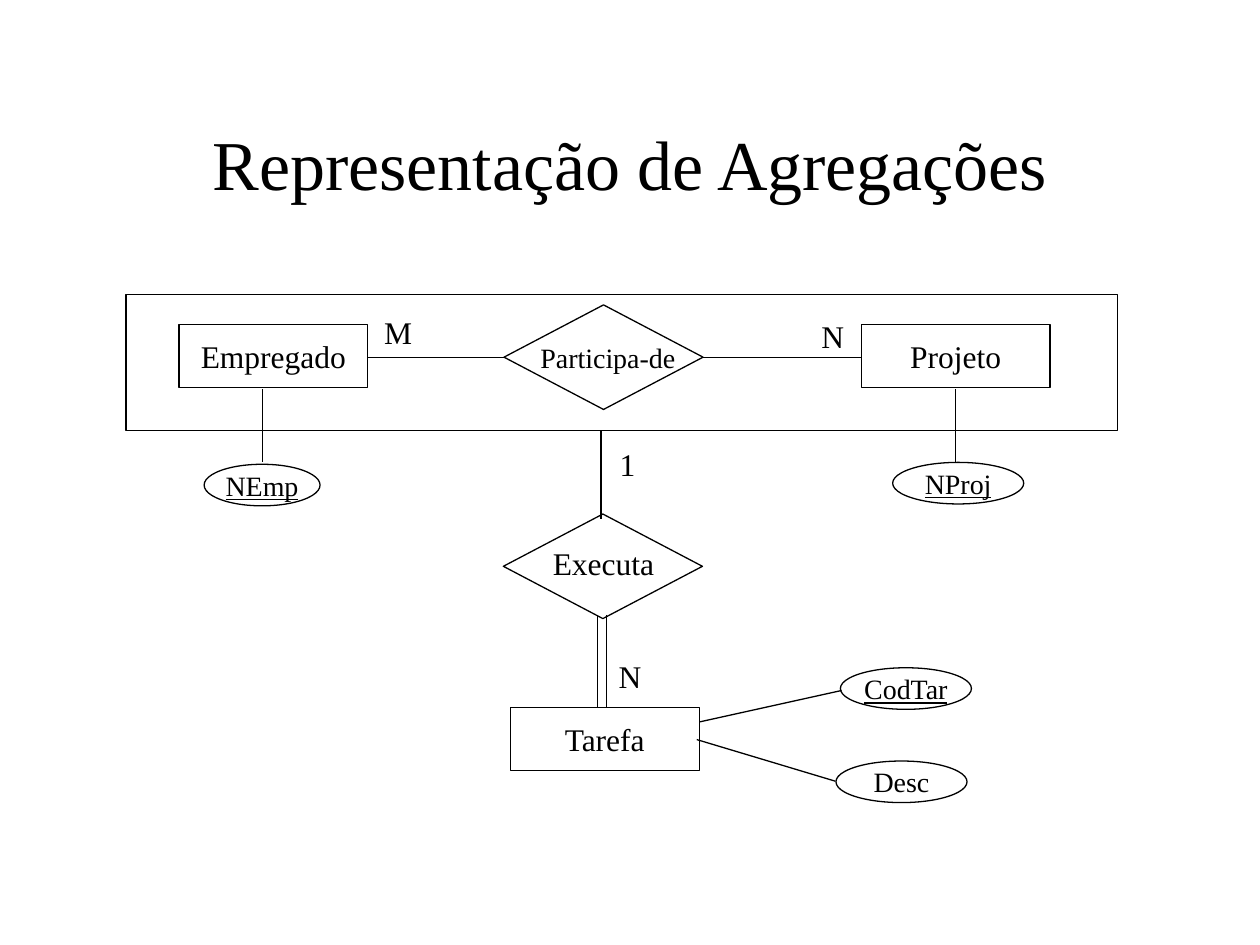
from lxml import etree
from pptx import Presentation
from pptx.dml.color import RGBColor
from pptx.enum.shapes import MSO_CONNECTOR, MSO_SHAPE as SHAPE
from pptx.enum.text import MSO_ANCHOR, MSO_AUTO_SIZE, PP_ALIGN
from pptx.oxml.ns import qn
from pptx.util import Inches, Pt

# The slide is a grid of 100 columns by 75 rows; all places are (column, row).
COLS, ROWS = 100, 75
FONT, BLACK, WHITE = "Times New Roman", "000000", "FFFFFF"
TITLE = "Representação de Agregações"
TITLE_BOX = (50, 12.9, 85, 12.5)

# Kind: preset shape, width, height, text size
KINDS = {
    "aggregation": (SHAPE.RECTANGLE, 78.7, 10.8, 18),
    "relationship": (SHAPE.FLOWCHART_DECISION, 15.8, 8.3, 18),
    "entity": (SHAPE.RECTANGLE, 15, 5, 18),
    "attribute": (SHAPE.OVAL, 10.4, 3.3, 16),
    "short attribute": (SHAPE.OVAL, 9.2, 3.3, 16),
}
# Kind, centre, text, underlined as key
NODES = [
    ("aggregation", (49.35, 28.75), "", False),
    ("relationship", (47.9, 28.35), "", False),
    ("relationship", (47.85, 44.95), "", False),
    ("entity", (21.7, 28.25), "Empregado", False),
    ("entity", (75.85, 28.25), "Projeto", False),
    ("entity", (48, 58.65), "Tarefa", False),
    ("short attribute", (20.8, 38.5), "NEmp", True),
    ("attribute", (76.05, 38.35), "NProj", True),
    ("attribute", (71.9, 54.65), "CodTar", True),
    ("attribute", (71.55, 62.05), "Desc", False),
]
LINKS = [
    ((29.2, 28.4), (40, 28.4)),
    ((55.8, 28.4), (68.3, 28.4)),
    ((20.85, 30.9), (20.85, 36.7)),
    ((75.85, 30.9), (75.85, 36.7)),
    ((47.7, 34.2), (47.7, 41.2)),
    ((47.4, 48.8), (47.4, 56.1)),
    ((48.15, 48.8), (48.15, 56.1)),
    ((55.5, 57.3), (66.8, 54.8)),
    ((55.3, 58.7), (66.3, 62)),
]
# Text, centre, width, size
LABELS = [
    ("Participa-de", (48.25, 28.35), 13, 16),
    ("Executa", (47.9, 44.65), 11, 18),
    ("M", (31.6, 26.35), 4.4, 18),
    ("N", (66.1, 26.7), 4, 18),
    ("1", (49.8, 36.8), 3.4, 18),
    ("N", (50, 53.65), 4, 18),
]
LABEL_HEIGHT = 4

prs = Presentation()
prs.slide_width, prs.slide_height = Inches(10), Inches(7.5)
s = prs.slides.add_slide(prs.slide_layouts[5])


def rgb(color):
    return RGBColor.from_string(color)


def x(col):
    return round(prs.slide_width * col / COLS)


def y(row):
    return round(prs.slide_height * row / ROWS)


def box(cx, cy, w, h):
    """Left, top, width and height of a box centred on a grid point."""
    return x(cx - w / 2), y(cy - h / 2), x(w), y(h)


def write(sp, text, size, wrap=False, **extra):
    tf = sp.text_frame
    tf.text = text
    tf.word_wrap = wrap
    tf.vertical_anchor = MSO_ANCHOR.MIDDLE
    p = tf.paragraphs[0]
    p.alignment = PP_ALIGN.CENTER
    for name, value in {"name": FONT, "size": Pt(size), **extra}.items():
        setattr(p.font, name, value)
    p.font.color.rgb = rgb(BLACK)


def outline(sp):
    sp.line.color.rgb = rgb(BLACK)
    sp.line.width = Pt(0.75)


def add_node(kind, center, text, is_key):
    preset, w, h, size = KINDS[kind]
    sp = s.shapes.add_shape(preset, *box(*center, w, h))
    sp.shadow.inherit = False
    sp.fill.solid()
    sp.fill.fore_color.rgb = rgb(WHITE)
    outline(sp)
    if text:
        write(sp, text, size, underline=is_key)


def add_link(start, end):
    ends = x(start[0]), y(start[1]), x(end[0]), y(end[1])
    line = s.shapes.add_connector(MSO_CONNECTOR.STRAIGHT, *ends)
    outline(line)
    etree.SubElement(line._element.spPr, qn("a:effectLst"))


def add_label(text, center, width, size):
    sp = s.shapes.add_textbox(*box(*center, width, LABEL_HEIGHT))
    write(sp, text, size)
    sp.text_frame.auto_size = MSO_AUTO_SIZE.SHAPE_TO_FIT_TEXT


title = s.shapes.title
title.left, title.top, title.width, title.height = box(*TITLE_BOX)
write(title, TITLE, 40, wrap=True)
for add, items in ((add_node, NODES), (add_link, LINKS), (add_label, LABELS)):
    for item in items:
        add(*item)

prs.save("out.pptx")
